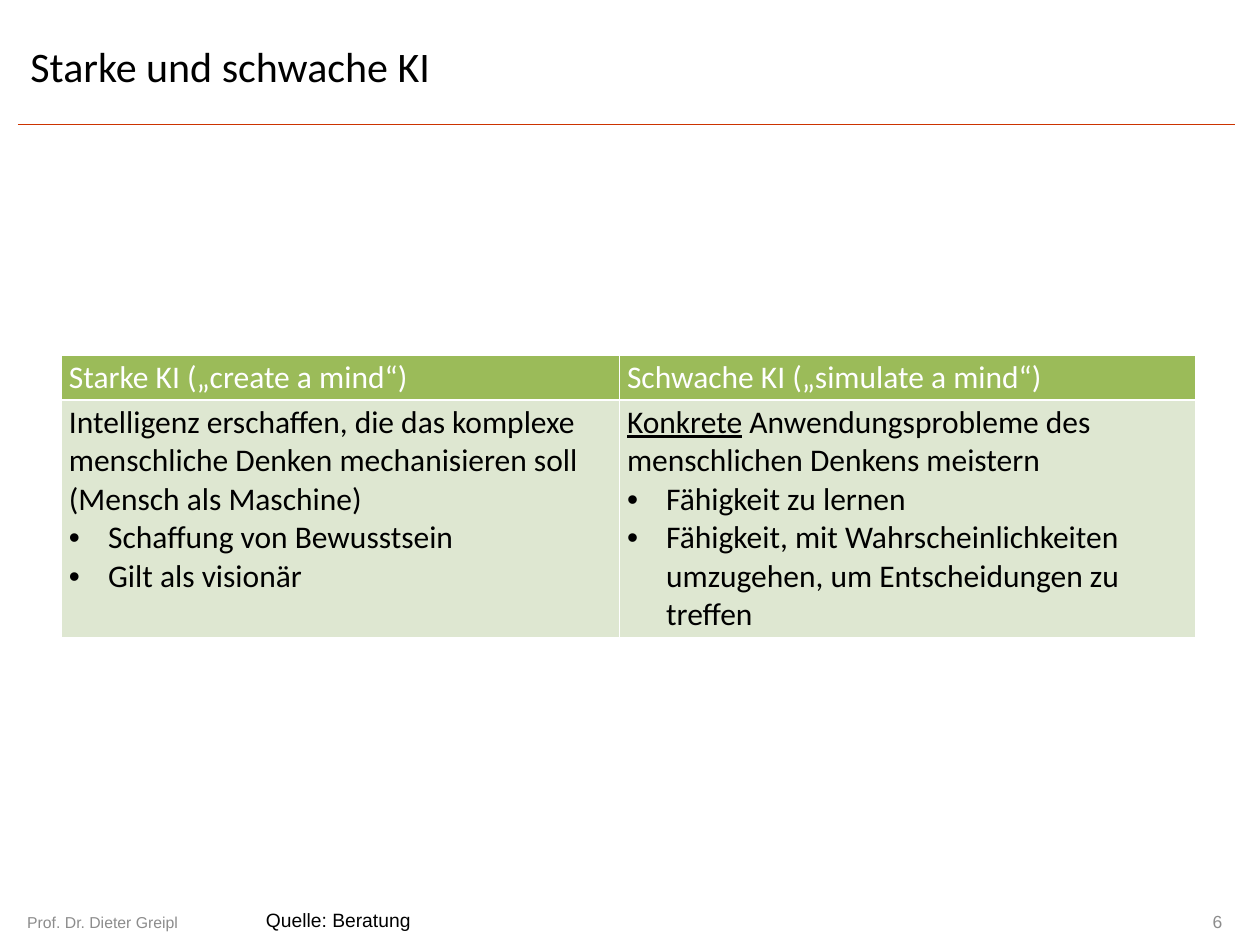
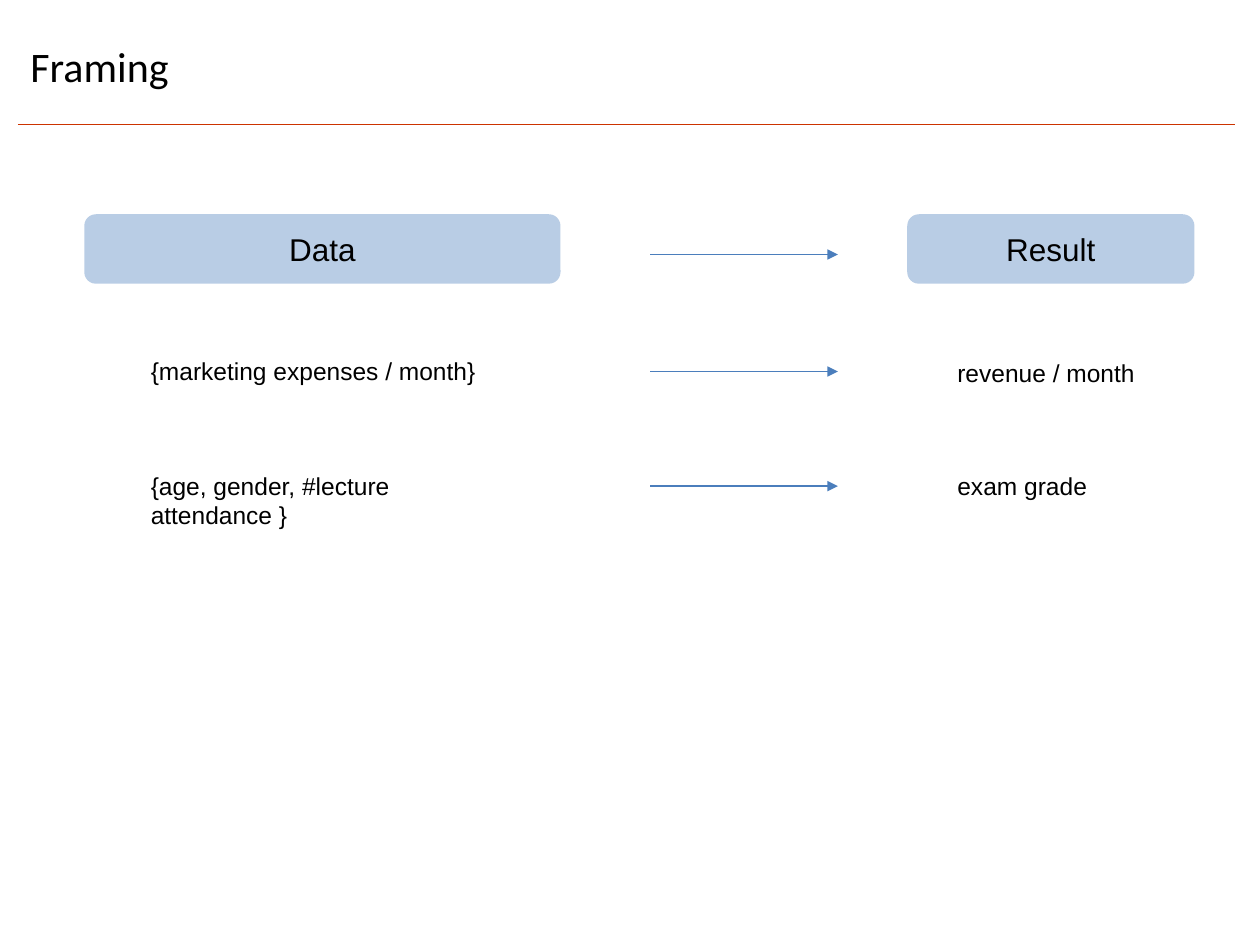
from lxml.etree import SubElement
from pptx import Presentation
from pptx.dml.color import RGBColor
from pptx.enum.shapes import MSO_CONNECTOR as Link, MSO_SHAPE as Form
from pptx.enum.text import MSO_ANCHOR as Anchor, PP_ALIGN as Align
from pptx.oxml.ns import qn
from pptx.util import Cm, Pt

BLACK, WHITE, GREY = "000000", "FFFFFF", "8C8C8C"
RED, BLUE, PALE = "CC3300", "4B7EBC", "B9CDE5"
GREEN, MINT = "9BBB59", "DEE7D1"
HEAD, BODY = "Calibri", "Arial"


def paint(color, value):
    color.rgb = RGBColor.from_string(value)


def fill(item, value):
    item.fill.solid()
    paint(item.fill.fore_color, value)


def write(para, text, size, face=BODY, color=BLACK, under=None):
    run = para.add_run()
    run.text = text
    font = run.font
    font.size, font.name, font.underline = Pt(size), face, under
    paint(font.color, color)


def line(slide, x1, x2, y, color, width):
    link = slide.shapes.add_connector(Link.STRAIGHT, Cm(x1), Cm(y), Cm(x2), Cm(y))
    paint(link.line.color, color)
    link.line.width = Pt(width)
    SubElement(link._element.spPr, qn("a:effectLst"))
    return link


def arrow(slide, y):
    link = line(slide, 13.11, 16.89, y, BLUE, 0.75)
    SubElement(link.line._get_or_add_ln(), qn("a:tailEnd"), type="triangle")


def label(slide, text, x, y, w, h, size, color=BLACK, align=Align.LEFT,
          anchor=Anchor.TOP, wrap=False):
    box = slide.shapes.add_textbox(Cm(x), Cm(y), Cm(w), Cm(h))
    frame = box.text_frame
    frame.word_wrap, frame.vertical_anchor = wrap, anchor
    para = frame.paragraphs[0]
    para.alignment = align
    write(para, text, size, color=color)


def panel(slide, text, x, w):
    shape = slide.shapes.add_shape(Form.ROUNDED_RECTANGLE, Cm(x), Cm(4.32), Cm(w), Cm(1.4))
    shape.shadow.inherit = False
    shape.line.fill.background()
    fill(shape, PALE)
    frame = shape.text_frame
    frame.vertical_anchor = Anchor.MIDDLE
    para = frame.paragraphs[0]
    para.alignment = Align.CENTER
    write(para, text, 18)


def start(deck, text):
    """Add a slide with its title and the red rule."""
    slide = deck.slides.add_slide(deck.slide_layouts[5])
    line(slide, 0.36, 24.89, 2.51, RED, 1)
    title = slide.shapes.title
    title.left, title.top, title.width, title.height = Cm(0.36), Cm(0.15), Cm(22.38), Cm(2.36)
    frame = title.text_frame
    frame.vertical_anchor = Anchor.MIDDLE
    para = frame.paragraphs[0]
    para.alignment = Align.LEFT
    write(para, text, 24, HEAD)
    return slide


def footer(slide, name, number):
    label(slide, name, 0.3, 18.19, 6, 0.81, 9, GREY, anchor=Anchor.MIDDLE, wrap=True)
    label(slide, number, 18.97, 18.19, 5.92, 0.76, 10, GREY, Align.RIGHT, Anchor.MIDDLE, True)


def bullet(para):
    props = para._p.get_or_add_pPr()
    props.set("marL", str(Cm(0.79)))
    props.set("indent", str(-Cm(0.79)))
    SubElement(props, qn("a:buFont"), typeface="Arial")
    SubElement(props, qn("a:buChar"), char="•")


def border(cell):
    props = cell._tc.get_or_add_tcPr()
    for place, side in enumerate(("lnL", "lnR", "lnT", "lnB")):
        edge = SubElement(props, qn("a:" + side), w=str(Pt(1)))
        tint = SubElement(edge, qn("a:solidFill"))
        SubElement(tint, qn("a:srgbClr"), val=WHITE)
        props.insert(place, edge)


def style(cell, color):
    cell.margin_left = cell.margin_right = Cm(0.15)
    cell.margin_top = cell.margin_bottom = Cm(0.07)
    fill(cell, color)
    border(cell)


def compare(slide, columns):
    """Add a table; each column is (width, heading, intro runs, bullets)."""
    width = sum(column[0] for column in columns)
    frame = slide.shapes.add_table(2, len(columns), Cm(1.24), Cm(7.16), Cm(width), Cm(5.69))
    table = frame.table
    table.rows[0].height, table.rows[1].height = Cm(0.89), Cm(4.8)
    for i, (wide, head, intro, points) in enumerate(columns):
        table.columns[i].width = Cm(wide)
        top, body = table.cell(0, i), table.cell(1, i)
        style(top, GREEN)
        style(body, MINT)
        write(top.text_frame.paragraphs[0], head, 18, HEAD, WHITE)
        text = body.text_frame
        for part, under in intro:
            write(text.paragraphs[0], part, 18, HEAD, under=under)
        for point in points:
            para = text.add_paragraph()
            bullet(para)
            write(para, point, 18, HEAD)


def minds(deck):
    slide = start(deck, "Starke und schwache KI")
    footer(slide, "Prof. Dr. Dieter Greipl", "6")
    compare(slide, [
        (11.25, "Starke KI („create a mind“)",
         [("Intelligenz erschaffen, die das komplexe menschliche Denken "
           "mechanisieren soll (Mensch als Maschine)", None)],
         ["Schaffung von Bewusstsein", "Gilt als visionär"]),
        (11.61, "Schwache KI („simulate a mind“)",
         [("Konkrete", True), (" Anwendungsprobleme des menschlichen Denkens meistern", None)],
         ["Fähigkeit zu lernen",
          "Fähigkeit, mit Wahrscheinlichkeiten umzugehen, um Entscheidungen zu treffen"]),
    ])
    label(slide, "Quelle: Beratung", 5.11, 18.19, 3.63, 0.74, 11)


def framing(deck):
    slide = start(deck, "Framing")
    panel(slide, "Data", 1.7, 9.6)
    panel(slide, "Result", 18.29, 5.79)
    arrow(slide, 5.13)
    rows = [
        (7.06, "{marketing expenses / month}", 7.09, "revenue / month", 4.09),
        (9.37, "{age, gender, #lecture attendance }", 9.37, "exam grade", 3.12),
    ]
    for (y, data, low, result, wide), span in zip(rows, (7.09, 8.2)):
        label(slide, data, 2.79, y, span, 0.86, 14)
        label(slide, result, 19.05, low, wide, 0.86, 14)
        arrow(slide, y + 0.43)


def main():
    deck = Presentation()
    deck.slide_width, deck.slide_height = Cm(25.4), Cm(19.05)
    minds(deck)
    framing(deck)
    deck.save("out.pptx")


if __name__ == "__main__":
    main()
